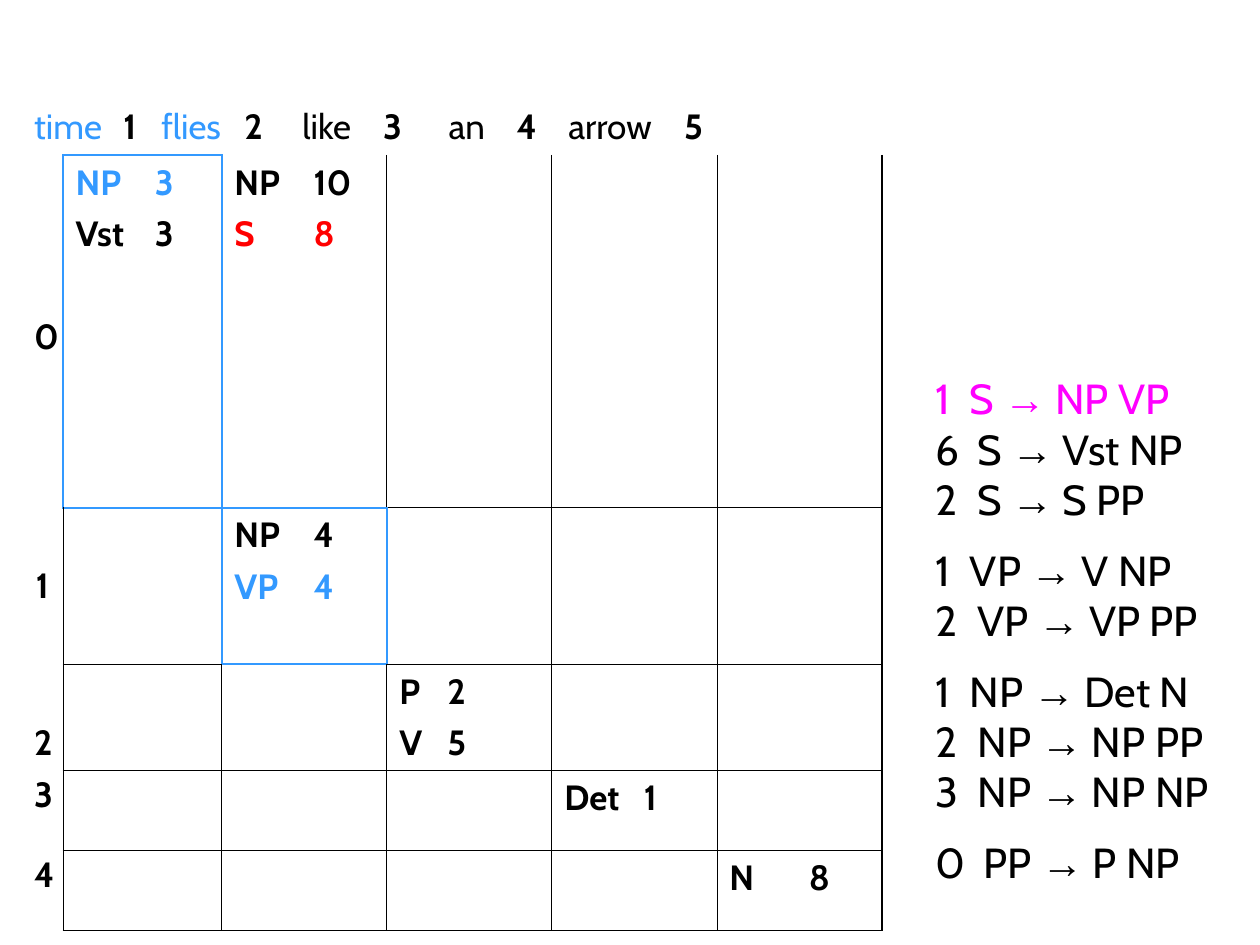
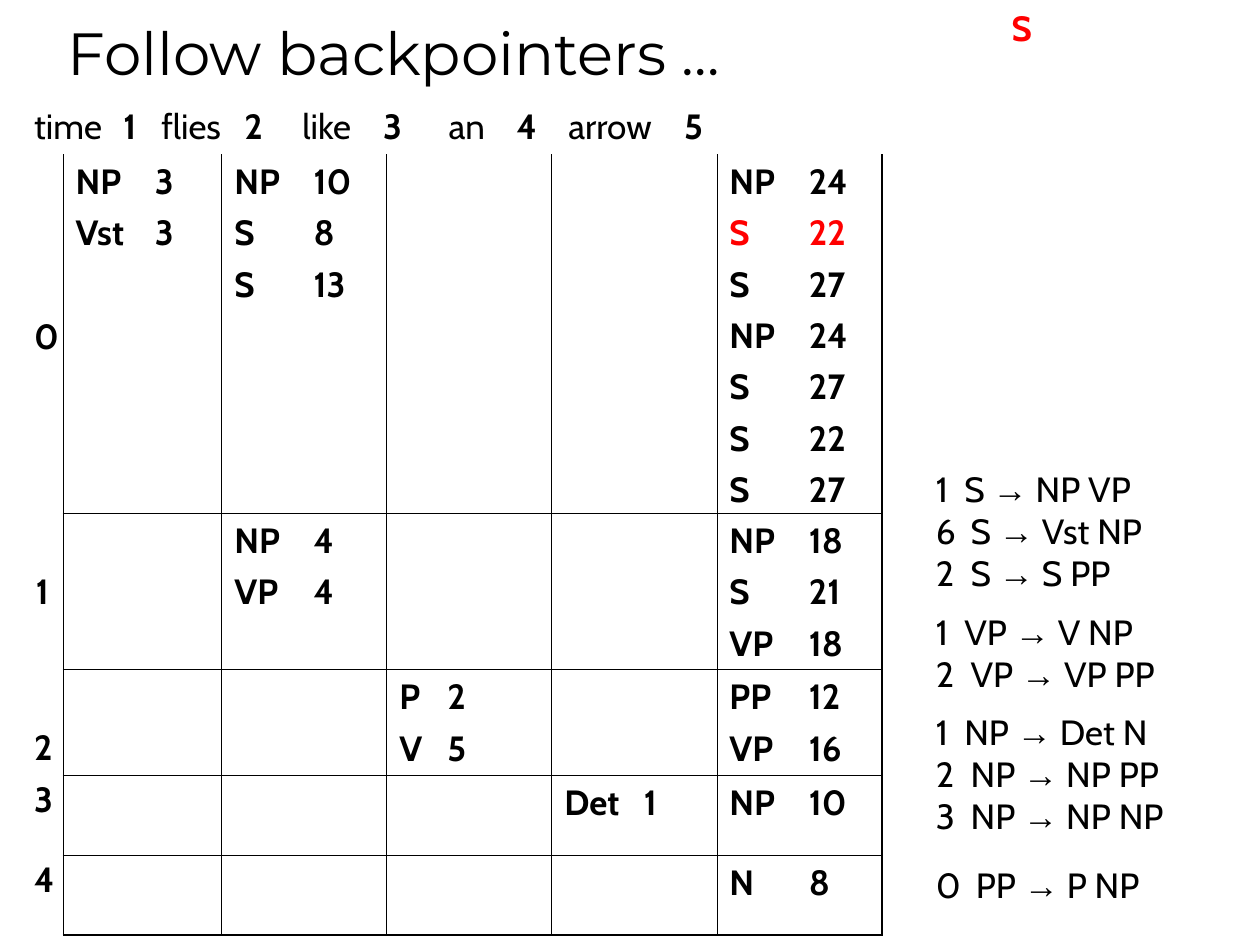
"""Build two slides that show a weighted CKY parse chart and its grammar."""
from lxml.etree import SubElement
from pptx import Presentation
from pptx.dml.color import RGBColor
from pptx.enum.text import MSO_ANCHOR, PP_ALIGN
from pptx.oxml.ns import qn
from pptx.util import Inches, Pt

BLACK = RGBColor(0x00, 0x00, 0x00)
BLUE = RGBColor(0x33, 0x99, 0xFF)
RED = RGBColor(0xFF, 0x00, 0x00)
MAGENTA = RGBColor(0xFF, 0x00, 0xFF)
BODY, HEAD, SYMBOL = "Cabin", "Montserrat", "Arial"
NO_STYLE = "{2D5ABB26-0587-4C30-8999-92F81FD0307C}"
THIN, THICK = 0.45, 1.08
GRID_COLS = 100

COLUMNS = [3.3, 12.6] + [13.1] * 4
LAST_ROW, LAST_COL = 5, 5
SIDES = {"L": (0, -1), "R": (0, 1), "T": (-1, 0), "B": (1, 0)}
WORDS = ["time", "flies", "like", "an", "arrow"]
WORD_TABS = [7.1, 10.1, 16.7, 21.3, 27.7, 32.9, 38.3, 42.4, 51.6]
LABEL_SPACING = [None, 2.2, 2.2, 0.9, 0.9]
RULES = [
    ["1 S → NP VP", "6 S → Vst NP", "2 S → S PP"],
    ["1 VP → V NP", "2 VP → VP PP"],
    ["1 NP → Det N", "2 NP → NP PP", "3 NP → NP NP"],
    ["0 PP → P NP"],
]
WEIGHT_TABS = {"1": 2.7, "0": 3.8}
START = {
    (1, 1): ["NP 3", "Vst 3"],
    (1, 2): ["NP 10", "S 8"],
    (2, 2): ["NP 4", "VP 4"],
    (3, 3): ["P 2", "V 5"],
    (4, 4): ["Det 1"],
    (5, 5): ["N 8"],
}
COMPLETE = START | {
    (1, 2): START[1, 2] + ["S 13"],
    (1, 5): ["NP 24", "S 22", "S 27", "NP 24", "S 27", "S 22", "S 27"],
    (2, 5): ["NP 18", "S 21", "VP 18"],
    (3, 5): ["PP 12", "VP 16"],
    (4, 5): ["NP 10"],
}


class Deck:
    """Hold the shared style and the current slide."""

    def __init__(self):
        self.prs = Presentation()
        self.prs.slide_width, self.prs.slide_height = Inches(10), Inches(7.5)
        self.unit = self.prs.slide_width / GRID_COLS
        self.s = None

    def new_slide(self):
        self.s = self.prs.slides.add_slide(self.prs.slide_layouts[6])

    def grid(self, *lengths):
        return [round(n * self.unit) for n in lengths]

    def run(self, p, text, size=20, color=BLACK, bold=False, font=BODY):
        r = p.add_run()
        r.text = text
        r.font.name, r.font.size, r.font.bold = font, Pt(size), bold
        r.font.color.rgb = color

    def tabs(self, p, stops):
        tab_list = SubElement(p._p.get_or_add_pPr(), qn("a:tabLst"))
        for pos in self.grid(*stops):
            SubElement(tab_list, qn("a:tab"), pos=str(pos), algn="l")

    def paragraph(self, tf, index):
        return tf.add_paragraph() if index else tf.paragraphs[0]

    def box(self, x, y, w, h, wrap=True):
        tf = self.s.shapes.add_textbox(*self.grid(x, y, w, h)).text_frame
        tf.word_wrap = wrap
        return tf

    def title(self, text):
        tf = self.box(4.4, 0.6, 85, 6.9)
        tf.vertical_anchor = MSO_ANCHOR.BOTTOM
        p = tf.paragraphs[0]
        p.line_spacing = 0.9
        self.run(p, text, 34, font=HEAD)

    def goal(self, text):
        p = self.box(79.3, 0, 3.5, 4.4, wrap=False).paragraphs[0]
        p.alignment = PP_ALIGN.CENTER
        self.run(p, text, color=RED, bold=True)

    def rules(self, y, h, size, first_color=BLACK, last_spacing=1.4):
        tf = self.box(73.3, y, 26.7, h)
        count = 0
        for group_no, group in enumerate(RULES):
            for i, rule in enumerate(group):
                p = self.paragraph(tf, count)
                color = BLACK if count else first_color
                weight, left, arrow, right = rule.split(" ", 3)
                self.tabs(p, [WEIGHT_TABS.get(weight, 3.3) * size / 24])
                if group_no and not i:
                    p.line_spacing = last_spacing if group is RULES[-1] else 1.4
                self.run(p, f"{weight}\t{left} ", size, color)
                self.run(p, arrow, size, color, font=SYMBOL)
                self.run(p, f" {right}", size, color)
                count += 1

    def borders(self, cell, row, col, blue):
        tc_pr = cell._tc.get_or_add_tcPr()
        for side, (down, across) in SIDES.items():
            marked = {(row, col), (row + down, col + across)} & blue
            outer = (side == "R" and col == LAST_COL) or (side == "B" and row == LAST_ROW)
            open_edge = row == 0 or (col == 0 and side != "R")
            open_edge = open_edge or (row == 1 and side == "T" and not marked)
            width = THICK if marked or outer else THIN
            ln = SubElement(tc_pr, qn(f"a:ln{side}"), w=str(Pt(width)))
            if open_edge:
                SubElement(ln, qn("a:noFill"))
            else:
                fill = SubElement(ln, qn("a:solidFill"))
                SubElement(fill, qn("a:srgbClr"), val=str(BLUE if marked else BLACK))

    def sentence(self, cell, blue_words):
        p = cell.text_frame.paragraphs[0]
        self.tabs(p, WORD_TABS)
        for i, word in enumerate(WORDS, 1):
            self.run(p, word, color=BLUE if word in blue_words else BLACK)
            self.run(p, f"\t{i}" + ("\t" if i < len(WORDS) else ""), bold=True)

    def label(self, cell, number):
        p = cell.text_frame.paragraphs[0]
        p.alignment = PP_ALIGN.CENTER
        p.line_spacing = LABEL_SPACING[number]
        if number == 0:
            cell.margin_top = self.grid(12.8)[0]
        self.run(p, str(number), bold=True)

    def entries(self, cell, items, colors):
        stop = 3.8 if items[0].startswith("P ") else 6.3
        for i, item in enumerate(items):
            p = self.paragraph(cell.text_frame, i)
            self.tabs(p, [stop])
            if i:
                p.space_before = Pt(5)
            self.run(p, item.replace(" ", "\t"), color=colors.get(i, BLACK), bold=True)

    def chart(self, filled, first_height, colors, blue_cells=(), blue_words=()):
        heights = [4.3, first_height, 12.4, 8.4, 6.35, 6.35]
        place = self.grid(1.7, 7.9, sum(COLUMNS), sum(heights))
        frame = self.s.shapes.add_table(len(heights), len(COLUMNS), *place)
        table = frame.table
        table.first_row = table.horz_banding = False
        for style in frame._element.iter(qn("a:tableStyleId")):
            style.text = NO_STYLE
        for column, width in zip(table.columns, self.grid(*COLUMNS)):
            column.width = width
        for row, height in zip(table.rows, self.grid(*heights)):
            row.height = height
        for row in range(len(heights)):
            for col in range(len(COLUMNS)):
                cell = table.cell(row, col)
                self.borders(cell, row, col, set(blue_cells))
                cell.fill.background()
                if row and not col:
                    self.label(cell, row - 1)
                elif (row, col) in filled:
                    self.entries(cell, filled[row, col], colors.get((row, col), {}))
        table.cell(0, 0).merge(table.cell(0, LAST_COL))
        self.sentence(table.cell(0, 0), blue_words)


def main():
    deck = Deck()
    deck.new_slide()
    deck.chart(
        START, 28,
        colors={(1, 1): {0: BLUE}, (1, 2): {1: RED}, (2, 2): {1: BLUE}},
        blue_cells=[(1, 1), (2, 2)],
        blue_words=["time", "flies"],
    )
    deck.rules(29.1, 41.8, 24, first_color=MAGENTA)

    deck.new_slide()
    deck.chart(COMPLETE, 28.5, colors={(1, 5): {1: RED}})
    deck.rules(36.6, 36, 20, last_spacing=1.64)
    deck.goal("S")
    deck.title("Follow backpointers …")
    deck.prs.save("out.pptx")


if __name__ == "__main__":
    main()
